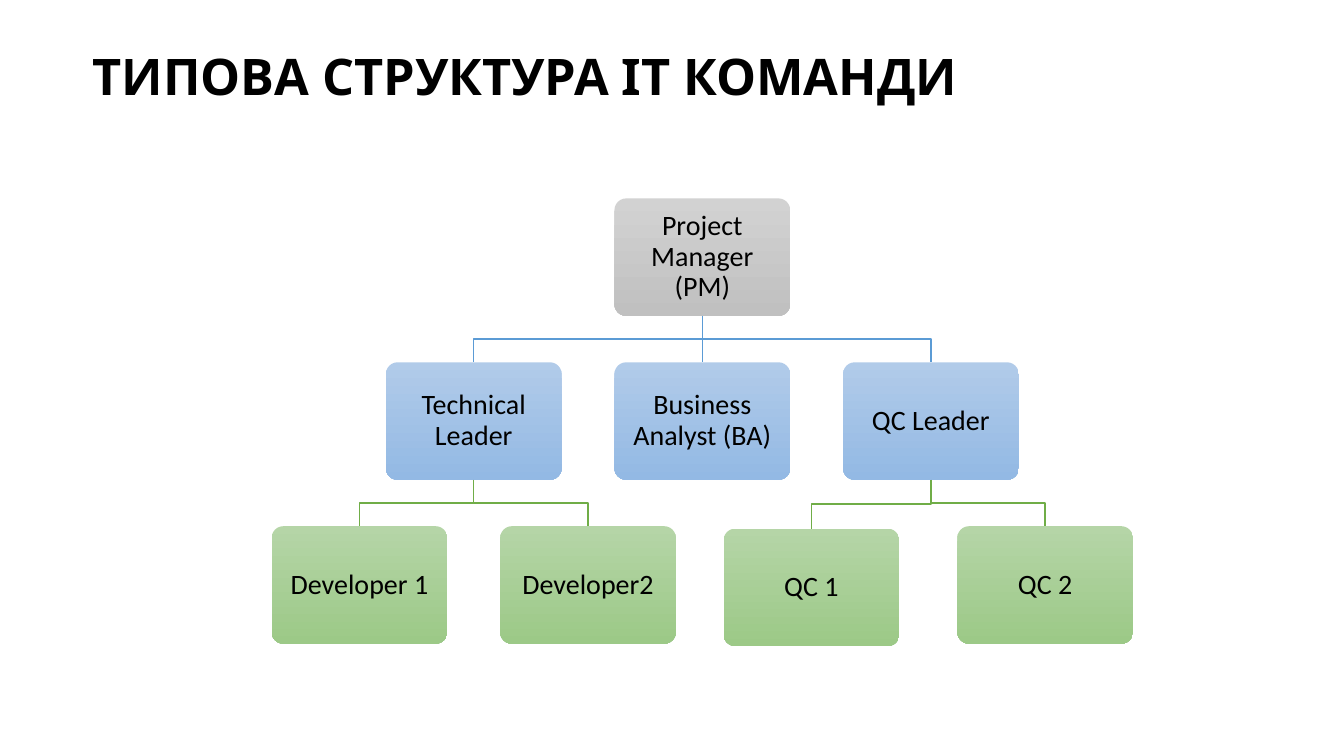
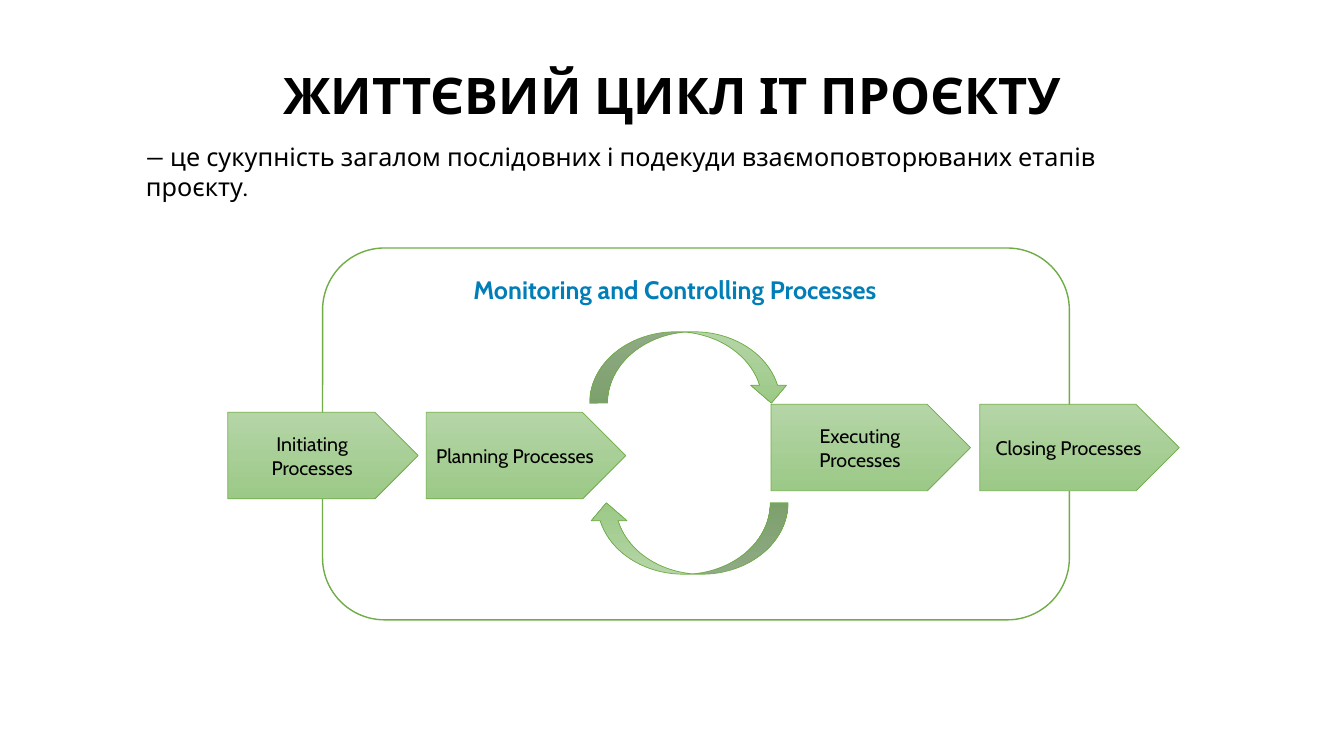
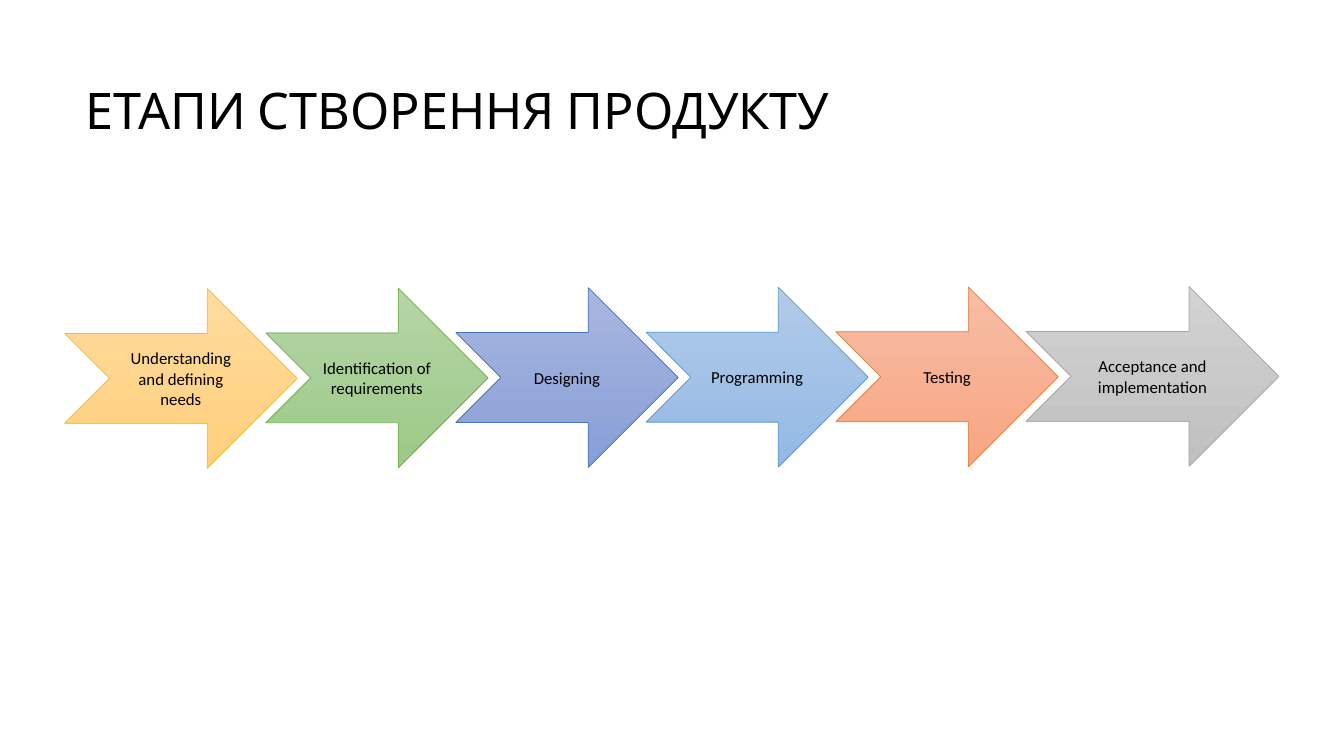
"""Builds three slides about an IT team, its project life cycle and product stages."""
import pptx
import pptx.dml.color
import pptx.enum.dml
import pptx.enum.shapes
import pptx.enum.text
import pptx.util

Cm = pptx.util.Cm
Pt = pptx.util.Pt
KIND = pptx.enum.shapes.MSO_SHAPE
ANCHOR = pptx.enum.text.MSO_ANCHOR
ALIGN = pptx.enum.text.PP_ALIGN
hex_color = pptx.dml.color.RGBColor.from_string

BLACK = "000000"
GREY = ("D2D2D2", "C0C0C0", "A5A5A5")
BLUE = ("B1CBE9", "93B9E4", "5B9BD5")
GREEN = ("B5D5A7", "9CC987", "70AD47")
GOLD = ("FFDB9E", "FFD07C", "FFC000")
INDIGO = ("A8B7DF", "889ED7", "4472C4")
ORANGE = ("F7BDA5", "F8A582", "ED7D31")

TITLE_FONT = {"name": "Karla", "size": Pt(36), "bold": True}
CAPTION_FONT = {"name": "Karla", "size": Pt(18)}
CARD_FONT = {"name": "Calibri", "size": Pt(20)}
PROCESS_FONT = {"name": "Cabin", "size": Pt(14)}
LABEL_FONT = {"name": "Cabin", "size": Pt(18), "bold": True}
STAGE_FONT = {"name": "Calibri", "size": Pt(12)}


def write(shape, text, font, align=ALIGN.LEFT, anchor=ANCHOR.MIDDLE, spacing=1.0, color=BLACK):
    frame = shape.text_frame
    frame_format = {
        "word_wrap": True,
        "auto_size": pptx.enum.text.MSO_AUTO_SIZE.NONE,
        "vertical_anchor": anchor,
    }
    for name, value in frame_format.items():
        setattr(frame, name, value)
    para = frame.paragraphs[0]
    para.alignment = align
    para.line_spacing = spacing
    span = para.add_run()
    span.text = text
    for name, value in font.items():
        setattr(span.font, name, value)
    span.font.color.rgb = hex_color(color)


def add_block(page, kind, place, tones, line_width=0.5):
    shape = page.shapes.add_shape(kind, *[Cm(length) for length in place])
    shape.shadow.inherit = False
    shape.fill.gradient()
    shape.fill.gradient_angle = 270
    for stop, tone in zip(shape.fill.gradient_stops, tones):
        stop.color.rgb = hex_color(tone)
    if line_width:
        shape.line.width = Pt(line_width)
        shape.line.color.rgb = hex_color(tones[2])
    else:
        shape.line.fill.background()
    return shape


deck = pptx.Presentation()
deck.slide_width = Cm(33.87)
deck.slide_height = Cm(19.05)

titles = [
    ("ТИПОВА СТРУКТУРА ІТ КОМАНДИ", (2.08, 1.02, 22.7, 2), ALIGN.LEFT, ANCHOR.TOP, 1.0, True),
    ("ЖИТТЄВИЙ ЦИКЛ ІТ ПРОЄКТУ", (2.34, 1.65, 29.21, 1.65), ALIGN.CENTER, ANCHOR.MIDDLE, 0.9, True),
    ("ЕТАПИ СТВОРЕННЯ ПРОДУКТУ", (1.9, 1.9, 30.05, 1.9), ALIGN.LEFT, ANCHOR.MIDDLE, 0.9, False),
]
pages = []
for text, place, align, anchor, spacing, bold in titles:
    page = deck.slides.add_slide(deck.slide_layouts[5])
    title = page.shapes.title
    for name, length in zip(("left", "top", "width", "height"), place):
        setattr(title, name, Cm(length))
    write(title, text, {**TITLE_FONT, "bold": bold}, align, anchor, spacing)
    pages.append(page)
team_page, cycle_page, stages_page = pages

card_width, card_height = 4.43, 2.96
first_row, row_pitch = 5, 4.13
center, column_pitch = 17.7, 5.76
leader_left, leader_right = center - column_pitch, center + column_pitch
half_pitch = column_pitch / 2
rows = [first_row + row_pitch * level for level in range(3)]
cards = [
    ("Project Manager (PM)", center, rows[0], GREY, None),
    ("Technical Leader", leader_left, rows[1], BLUE, center),
    ("Business Analyst (BA)", center, rows[1], BLUE, center),
    ("QC Leader", leader_right, rows[1], BLUE, center),
    ("Developer 1", leader_left - half_pitch, rows[2], GREEN, leader_left),
    ("Developer2", leader_left + half_pitch, rows[2], GREEN, leader_left),
    ("QC 1", 20.45, rows[2] + 0.06, GREEN, leader_right),
    ("QC 2", leader_right + half_pitch, rows[2], GREEN, leader_right),
]
for text, middle, top, tones, parent in cards:
    if parent is not None:
        level = 0 if top == rows[1] else 1
        start = rows[level] + card_height
        bend = (start + top) / 2
        if parent == middle:
            link = team_page.shapes.add_connector(
                pptx.enum.shapes.MSO_CONNECTOR.STRAIGHT, Cm(middle), Cm(start), Cm(middle), Cm(top))
            link.element.spPr.append(pptx.oxml.parse_xml(
                '<a:effectLst xmlns:a="http://schemas.openxmlformats.org/drawingml/2006/main"/>'))
        else:
            outline = team_page.shapes.build_freeform(Cm(parent), Cm(start))
            corners = [(parent, bend), (middle, bend), (middle, top)]
            outline.add_line_segments([(Cm(x), Cm(y)) for x, y in corners], close=False)
            link = outline.convert_to_shape()
            link.shadow.inherit = False
            link.fill.background()
        link.line.width = Pt(1)
        link.line.color.rgb = hex_color(tones[2])
    place = (middle - card_width / 2, top, card_width, card_height)
    card = add_block(team_page, KIND.ROUNDED_RECTANGLE, place, tones, 0)
    card.adjustments[0] = 0.1
    for side in ("left", "right", "top", "bottom"):
        setattr(card.text_frame, "margin_" + side, Cm(0.28))
    write(card, text, CARD_FONT, ALIGN.CENTER, spacing=0.9)

loop_frame = add_block(cycle_page, KIND.ROUNDED_RECTANGLE, (8.13, 6.25, 18.82, 9.37), GREEN, 1)
loop_frame.fill.solid()
loop_frame.fill.fore_color.rgb = hex_color("FFFFFF")

processes = [
    ("Initiating Processes", 5.74, 10.39, 4.8),
    ("Planning Processes", 10.74, 10.39, 5.03),
    ("Executing Processes", 19.43, 10.19, 5.03),
    ("Closing Processes", 24.69, 10.19, 5.03),
]
for left, top, rotation in [(14.86, 8.36, 0), (14.83, 12.67, 180)]:
    arrow = add_block(cycle_page, KIND.CURVED_DOWN_ARROW, (left, top, 5.03, 1.8), GREEN)
    arrow.rotation = rotation
for text, left, top, width in processes:
    process = add_block(cycle_page, KIND.PENTAGON, (left, top, width, 2.18), GREEN)
    write(process, text, PROCESS_FONT, ALIGN.CENTER)

captions = [
    ("Monitoring and Controlling Processes", (11.68, 6.78, 15.29, 1.02), LABEL_FONT, "017EB8"),
    ("— це сукупність загалом послідовних і подекуди взаємоповторюваних етапів проєкту.",
     (3.43, 3.43, 27.03, 1.8), CAPTION_FONT, BLACK),
]
for text, place, font, color in captions:
    box = cycle_page.shapes.add_textbox(*[Cm(length) for length in place])
    write(box, text, font, anchor=ANCHOR.TOP, color=color)

stages = [
    ("Understanding and defining needs", 1.63, 5.86, GOLD),
    ("Identification of requirements", 6.7, 5.6, GREEN),
    ("Designing", 11.49, 5.6, INDIGO),
    ("Programming", 16.28, 5.6, BLUE),
    ("Testing", 21.07, 5.6, ORANGE),
    ("Acceptance and implementation", 25.86, 6.37, GREY),
]
for index, (text, left, width, tones) in enumerate(stages):
    place = (left, 7.27 - 0.01 * index, width, 4.53)
    stage = add_block(stages_page, KIND.NOTCHED_RIGHT_ARROW, place, tones)
    write(stage, text, STAGE_FONT, ALIGN.CENTER)

deck.save("out.pptx")
